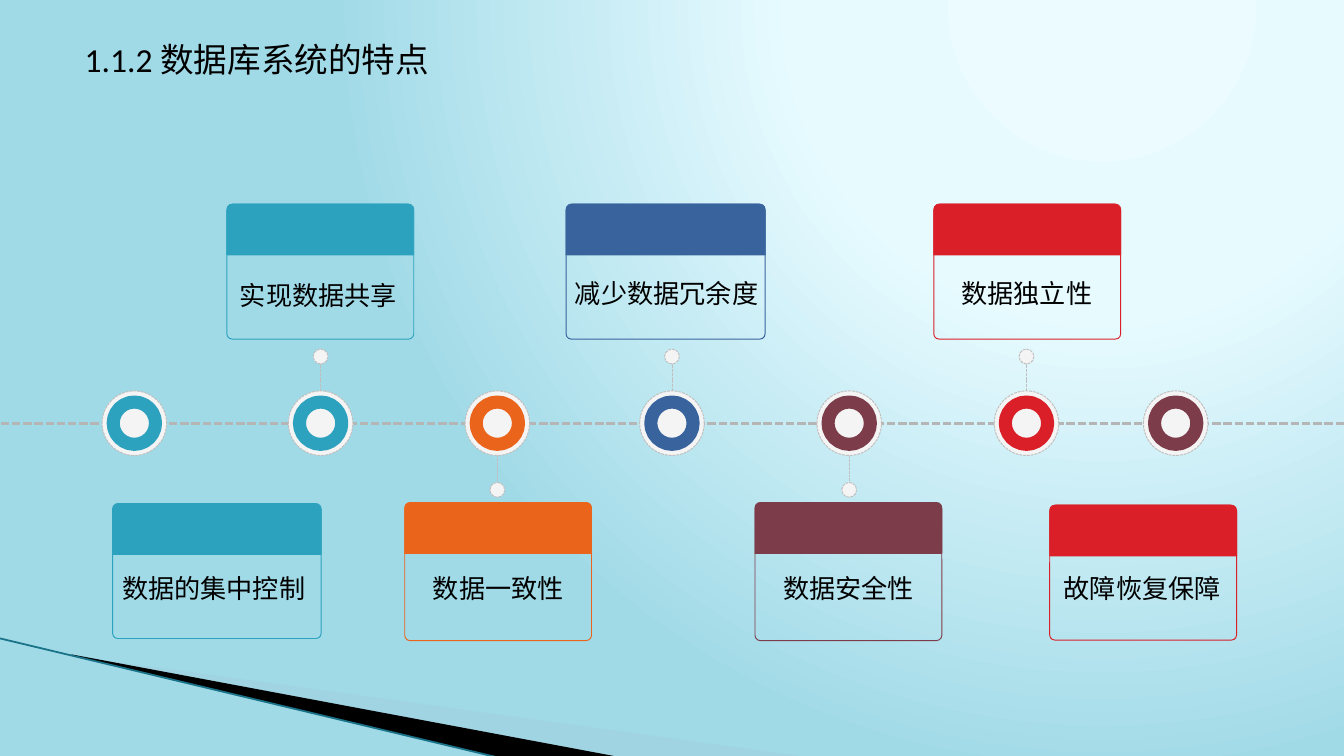
"""Build a timeline slide of seven database system features."""
import pptx
import pptx.util
import pptx.dml.color
import pptx.enum.dml
import pptx.enum.shapes
import pptx.enum.text
import pptx.oxml
import pptx.oxml.ns
import lxml.etree

Cm = pptx.util.Cm
Pt = pptx.util.Pt
SHAPE = pptx.enum.shapes.MSO_SHAPE
STRAIGHT = pptx.enum.shapes.MSO_CONNECTOR.STRAIGHT
DASH = pptx.enum.dml.MSO_LINE.SQUARE_DOT
qn = pptx.oxml.ns.qn


def rgb(value):
    return pptx.dml.color.RGBColor.from_string(value)


def style(sp, line=None, width=0.5, dash=None, fill=None):
    if line:
        sp.line.color.rgb = rgb(line)
        sp.line.width = Pt(width)
        sp.line.dash_style = dash
    else:
        sp.line.fill.background()
    if hasattr(sp, "begin_x"):
        lxml.etree.SubElement(sp._element.spPr, qn("a:effectLst"))
        return
    sp.shadow.inherit = False
    if fill:
        sp.fill.solid()
        sp.fill.fore_color.rgb = rgb(fill)
    else:
        sp.fill.background()


PALE, GREY = "F4F4F4", "BFBFBF"
TEAL, ORANGE, BLUE, PLUM, RED = "2DA2BF", "EB641B", "39639D", "7D3C4A", "DA1F28"
AXIS_Y, DISC, RING, DOT, STEM = 8.0, 1.22, 0.8, 0.28, 0.51
BAR_H, LABEL_W, LABEL_H = 0.96, 4.1, 0.86

prs = pptx.Presentation()
prs.slide_width, prs.slide_height = Cm(25.4), Cm(14.29)
s = prs.slides.add_slide(prs.slide_layouts[6])

s.background.fill.gradient()
grad = s.element.xpath(".//a:gradFill")[0]
stops = "".join(
    f'<a:gs pos="{pos * 1000}"><a:srgbClr val="{color}"/></a:gs>'
    for pos, color in [(0, "EBFBFF"), (40, "E7FBFF"), (100, "A1DAE7")]
)
grad.getparent().replace(grad, pptx.oxml.parse_xml(
    f'<a:gradFill {pptx.oxml.ns.nsdecls("a")} rotWithShape="1"><a:gsLst>{stops}</a:gsLst>'
    '<a:path path="circle"><a:fillToRect l="65000" b="98000"/></a:path></a:gradFill>'
))

wedges = [
    ("A0CBDC", 40, [(1.4, 12.4), (15.11, 14.29), (11.58, 14.29)]),
    ("000000", 100, [(1.35, 12.37), (11.6, 14.29), (9.45, 14.32), (1.37, 12.4)]),
]
for color, opacity, points in wedges:
    points = [(Cm(x), Cm(y)) for x, y in points]
    builder = s.shapes.build_freeform(*points[0])
    builder.add_line_segments(points[1:])
    sp = builder.convert_to_shape()
    style(sp, fill=color)
    clr = sp._element.spPr.find(qn("a:solidFill"))[0]
    lxml.etree.SubElement(clr, qn("a:alpha"), val=str(opacity * 1000))

edge = s.shapes.add_connector(STRAIGHT, Cm(-0.03), Cm(12.06), Cm(9.42), Cm(14.32))
style(edge, "1A7389", 0.95)
axis = s.shapes.add_connector(STRAIGHT, Cm(25.4), Cm(AXIS_Y), Cm(0), Cm(AXIS_Y))
style(axis, "B5B5B5", 1.5, DASH)

markers = [
    (2.54, TEAL, 0), (6.06, TEAL, -1), (9.4, ORANGE, 1), (12.7, BLUE, -1),
    (16.05, PLUM, 1), (19.4, RED, -1), (22.22, PLUM, 0),
]
for x, color, side in markers:
    discs = [(AXIS_Y, DISC, GREY, 0.5, DASH), (AXIS_Y, RING, color, 7, None)]
    if side:
        start = AXIS_Y + side * DISC / 2
        end = start + side * STEM
        stem = s.shapes.add_connector(STRAIGHT, Cm(x), Cm(start), Cm(x), Cm(end))
        style(stem, GREY, 0.5, DASH)
        discs.append((end + side * DOT / 2, DOT, GREY, 0.5, DASH))
    for y, size, line, width, dash in discs:
        sp = s.shapes.add_shape(
            SHAPE.OVAL, Cm(x - size / 2), Cm(y - size / 2), Cm(size), Cm(size))
        style(sp, line, width, dash, PALE)

cards = [
    (4.29, 3.86, 3.53, 2.55, TEAL, "实现数据共享", 6.02, 5.16),
    (10.7, 3.86, 3.76, 2.55, BLUE, "减少数据冗余度", 12.6, 5.11),
    (17.65, 3.86, 3.53, 2.55, RED, "数据独立性", 19.41, 5.11),
    (2.13, 9.52, 3.94, 2.55, TEAL, "数据的集中控制", 4.04, 10.69),
    (7.65, 9.5, 3.53, 2.61, ORANGE, "数据一致性", 9.42, 10.69),
    (14.27, 9.5, 3.53, 2.61, PLUM, "数据安全性", 16.04, 10.69),
    (19.84, 9.55, 3.53, 2.55, RED, "故障恢复保障", 21.59, 10.69),
]
texts = [(1.35, 0.61, 9.35, 1.02, "1.1.2 数据库系统的特点", 18, "LEFT")]
for x, y, w, h, color, label, mid, label_y in cards:
    sp = s.shapes.add_shape(SHAPE.ROUNDED_RECTANGLE, Cm(x), Cm(y), Cm(w), Cm(h))
    sp.adjustments[0] = 0.038
    style(sp, color)
    sp = s.shapes.add_shape(SHAPE.ROUND_2_SAME_RECTANGLE, Cm(x), Cm(y), Cm(w), Cm(BAR_H))
    sp.adjustments[0] = 0.125
    style(sp, color, fill=color)
    texts.append((mid - LABEL_W / 2, label_y, LABEL_W, LABEL_H, label, 14, "CENTER"))

for x, y, w, h, text, size, align in texts:
    tf = s.shapes.add_textbox(Cm(x), Cm(y), Cm(w), Cm(h)).text_frame
    tf.word_wrap = True
    p = tf.paragraphs[0]
    p.alignment = pptx.enum.text.PP_ALIGN[align]
    r = p.add_run()
    r.text = text
    r.font.name = "Calibri"
    r.font.size = Pt(size)
    r.font.color.rgb = rgb("000000")

prs.save("out.pptx")
